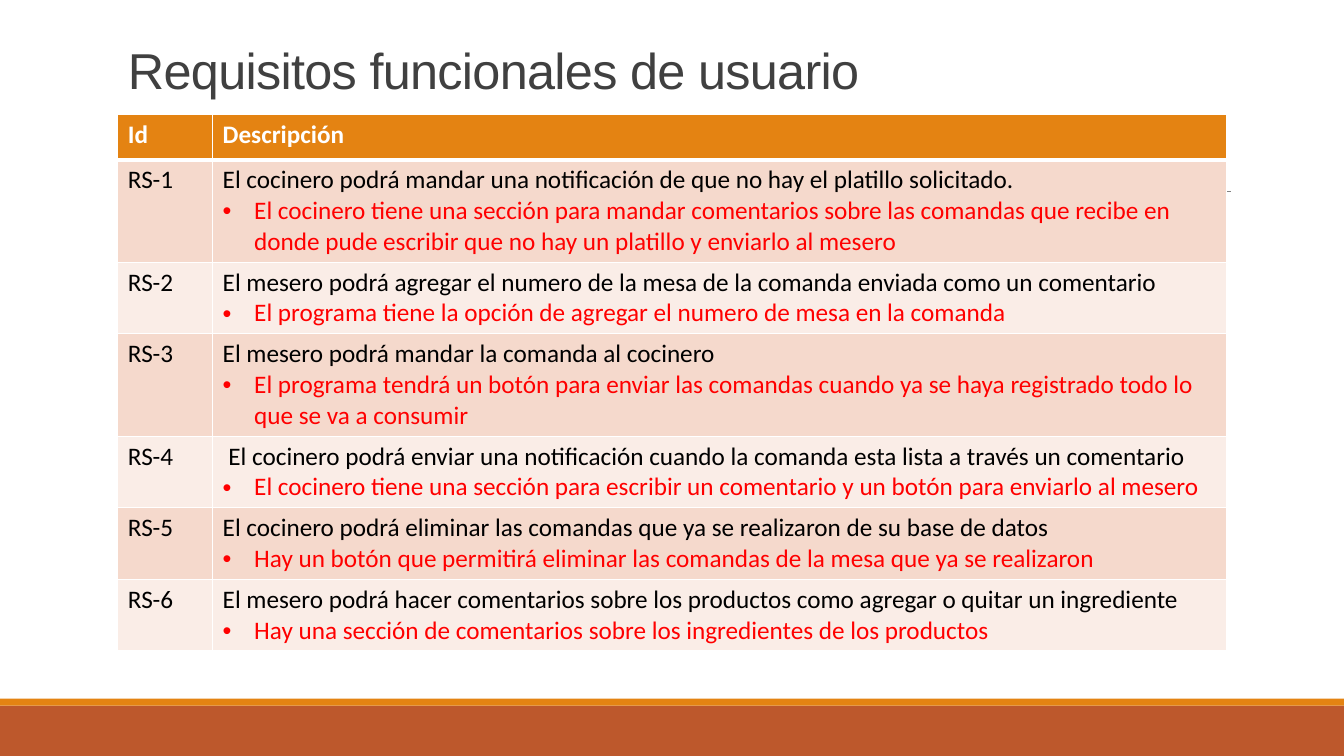
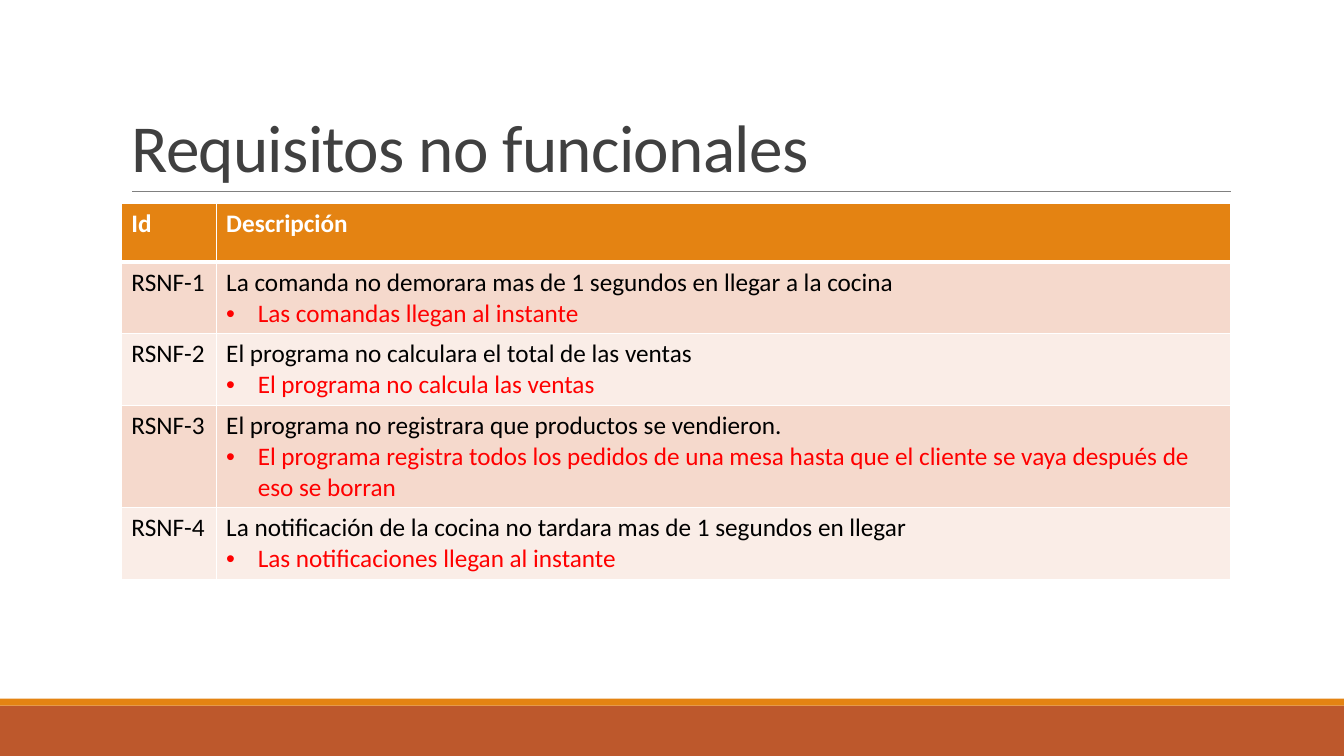
from lxml import etree
from pptx import Presentation
from pptx.dml.color import RGBColor
from pptx.enum import shapes, text
from pptx.oxml import ns
from pptx.util import Pt

WHITE = RGBColor(0xFF, 0xFF, 0xFF)
BLACK = RGBColor(0x00, 0x00, 0x00)
RED = RGBColor(0xFF, 0x00, 0x00)
GREY = RGBColor(0x80, 0x80, 0x80)
CHARCOAL = RGBColor(0x40, 0x40, 0x40)
ORANGE = RGBColor(0xE4, 0x83, 0x12)
RUST = RGBColor(0xBD, 0x58, 0x2C)
BANDING = (RGBColor(0xF5, 0xD9, 0xCC), RGBColor(0xFA, 0xED, 0xE7))

# Each requirement: id, statement, how it is met, lines of text it takes
FUNCTIONAL = [
    ("RS-1", "El cocinero podrá mandar una notificación de que no hay el platillo solicitado.",
     "El cocinero tiene una sección para mandar comentarios sobre las comandas que recibe en "
     "donde pude escribir que no hay un platillo y enviarlo al mesero", 3),
    ("RS-2", "El mesero podrá agregar el numero de la mesa de la comanda enviada como un comentario",
     "El programa tiene la opción de agregar el numero de mesa en la comanda", 2),
    ("RS-3", "El mesero podrá mandar la comanda al cocinero",
     "El programa tendrá un botón para enviar las comandas cuando ya se haya registrado todo lo "
     "que se va a consumir", 3),
    ("RS-4", " El cocinero podrá enviar una notificación cuando la comanda esta lista a través un comentario",
     "El cocinero tiene una sección para escribir un comentario y un botón para enviarlo al mesero", 2),
    ("RS-5", "El cocinero podrá eliminar las comandas que ya se realizaron de su base de datos",
     "Hay un botón que permitirá eliminar las comandas de la mesa que ya se realizaron", 2),
    ("RS-6", "El mesero podrá hacer comentarios sobre los productos como agregar o quitar un ingrediente",
     "Hay una sección de comentarios sobre los ingredientes de los productos", 2),
]
NON_FUNCTIONAL = [
    ("RSNF-1", "La comanda no demorara mas de 1 segundos en llegar a la cocina",
     "Las comandas llegan al instante", 2),
    ("RSNF-2", "El programa no calculara el total de las ventas",
     "El programa no calcula las ventas", 2),
    ("RSNF-3", "El programa no registrara que productos se vendieron.",
     "El programa registra todos los pedidos de una mesa hasta que el cliente se vaya después de "
     "eso se borran", 3),
    ("RSNF-4", "La notificación de la cocina no tardara mas de 1 segundos en llegar",
     "Las notificaciones llegan al instante", 2),
]


class Deck:
    FONT = "Calibri"
    WIDTH, HEIGHT = 960, 540
    CONTENT_WIDTH = 792
    ID_WIDTH = 67.7
    TEXT_SIZE, LINE_HEIGHT, CELL_PADDING = 18, 21.95, 7.2
    BULLET_INDENT = 22.5

    def __init__(self):
        self.prs = Presentation()
        self.prs.slide_width, self.prs.slide_height = Pt(self.WIDTH), Pt(self.HEIGHT)
        self.layout = self.prs.slide_layouts.get_by_name("Title Only")
        self.slide = None

    def new_slide(self):
        first = self.slide is None
        self.slide = self.prs.slides.add_slide(self.layout)
        if first:
            self.share(self.band(504, 36, RUST), self.band(499, 5, ORANGE), self.rule(94.5, 879, 136.8))

    def share(self, *parts):
        """Move parts to the layout, so that every slide shows them."""
        for part in parts:
            self.layout.shapes.element.append(part.element)

    def band(self, top, height, color):
        band = self.slide.shapes.add_shape(
            shapes.MSO_SHAPE.RECTANGLE, 0, Pt(top), Pt(self.WIDTH), Pt(height))
        band.shadow.inherit = False
        band.fill.solid()
        band.fill.fore_color.rgb = color
        band.line.fill.background()
        return band

    def rule(self, left, right, y):
        rule = self.slide.shapes.add_connector(
            shapes.MSO_CONNECTOR.STRAIGHT, Pt(left), Pt(y), Pt(right), Pt(y))
        rule.line.color.rgb = GREY
        rule.line.width = Pt(0.5)
        etree.SubElement(rule.element.spPr, ns.qn("a:effectLst"))
        return rule

    def title(self, words, left, top, height, size, font=FONT):
        title = self.slide.shapes.title
        title.left, title.top = Pt(left), Pt(top)
        title.width, title.height = Pt(self.CONTENT_WIDTH), Pt(height)
        frame = title.text_frame
        frame.text = words
        frame.word_wrap = True
        frame.auto_size = text.MSO_AUTO_SIZE.NONE
        frame.vertical_anchor = text.MSO_ANCHOR.BOTTOM
        heading = frame.paragraphs[0]
        heading.alignment = text.PP_ALIGN.LEFT
        heading.line_spacing = 0.85
        self.style(heading, CHARCOAL, size, font)
        heading.runs[0].font._element.set("spc", "-50")

    def requirements(self, rows, left, top, header_height):
        table = self.slide.shapes.add_table(
            len(rows) + 1, 2, Pt(left), Pt(top), Pt(self.CONTENT_WIDTH), Pt(header_height)).table
        table.horz_banding = False
        table.columns[0].width = Pt(self.ID_WIDTH)
        table.columns[1].width = Pt(self.CONTENT_WIDTH - self.ID_WIDTH)

        # Header row
        table.rows[0].height = Pt(header_height)
        for column, label in enumerate(("Id", "Descripción")):
            cell = table.cell(0, column)
            self.cell(cell, label, ORANGE, WHITE, bold=True, bottom=3)

        # One row per requirement
        for number, (code, statement, answer, lines) in enumerate(rows, 1):
            table.rows[number].height = Pt(lines * self.LINE_HEIGHT + self.CELL_PADDING)
            fill = BANDING[(number - 1) % 2]
            line_above = 3 if number == 1 else 1
            self.cell(table.cell(number, 0), code, fill, BLACK, top=line_above)
            description = table.cell(number, 1)
            self.cell(description, statement, fill, BLACK, top=line_above)
            self.bullet(description, answer)

    def cell(self, cell, words, fill, color, bold=False, top=1, bottom=1):
        for side, width in zip("LRTB", (1, 1, top, bottom)):
            self.border(cell, side, width)
        cell.fill.solid()
        cell.fill.fore_color.rgb = fill
        cell.text_frame.text = words
        self.style(cell.text_frame.paragraphs[0], color, bold=bold)

    def border(self, cell, side, width):
        properties = cell._tc.get_or_add_tcPr()
        line = etree.SubElement(properties, ns.qn("a:ln" + side), w=str(Pt(width)))
        fill = etree.SubElement(line, ns.qn("a:solidFill"))
        etree.SubElement(fill, ns.qn("a:srgbClr"), val=str(WHITE))

    def bullet(self, cell, words):
        answer = cell.text_frame.add_paragraph()
        answer.text = words
        self.style(answer, RED)
        properties = answer._p.get_or_add_pPr()
        properties.set("marL", str(Pt(self.BULLET_INDENT)))
        properties.set("indent", str(-Pt(self.BULLET_INDENT)))
        etree.SubElement(properties, ns.qn("a:buFont"), typeface="Arial")
        etree.SubElement(properties, ns.qn("a:buChar"), char="•")

    def style(self, paragraph, color, size=TEXT_SIZE, font=FONT, bold=False):
        for run in paragraph.runs:
            run.font.name, run.font.size, run.font.bold = font, Pt(size), bold
            run.font.color.rgb = color


def main():
    deck = Deck()

    # Functional requirements
    deck.new_slide()
    deck.title("Requisitos funcionales de usuario", 84.2, 25.2, 49.7, 36, "Arial")
    deck.requirements(FUNCTIONAL, 84.2, 81.7, 32.4)

    # Non-functional requirements
    deck.new_slide()
    deck.title("Requisitos no funcionales", 86.7, 22.5, 114.3, 48)
    deck.requirements(NON_FUNCTIONAL, 86.7, 145.5, 41.8)

    deck.prs.save("out.pptx")


if __name__ == "__main__":
    main()
